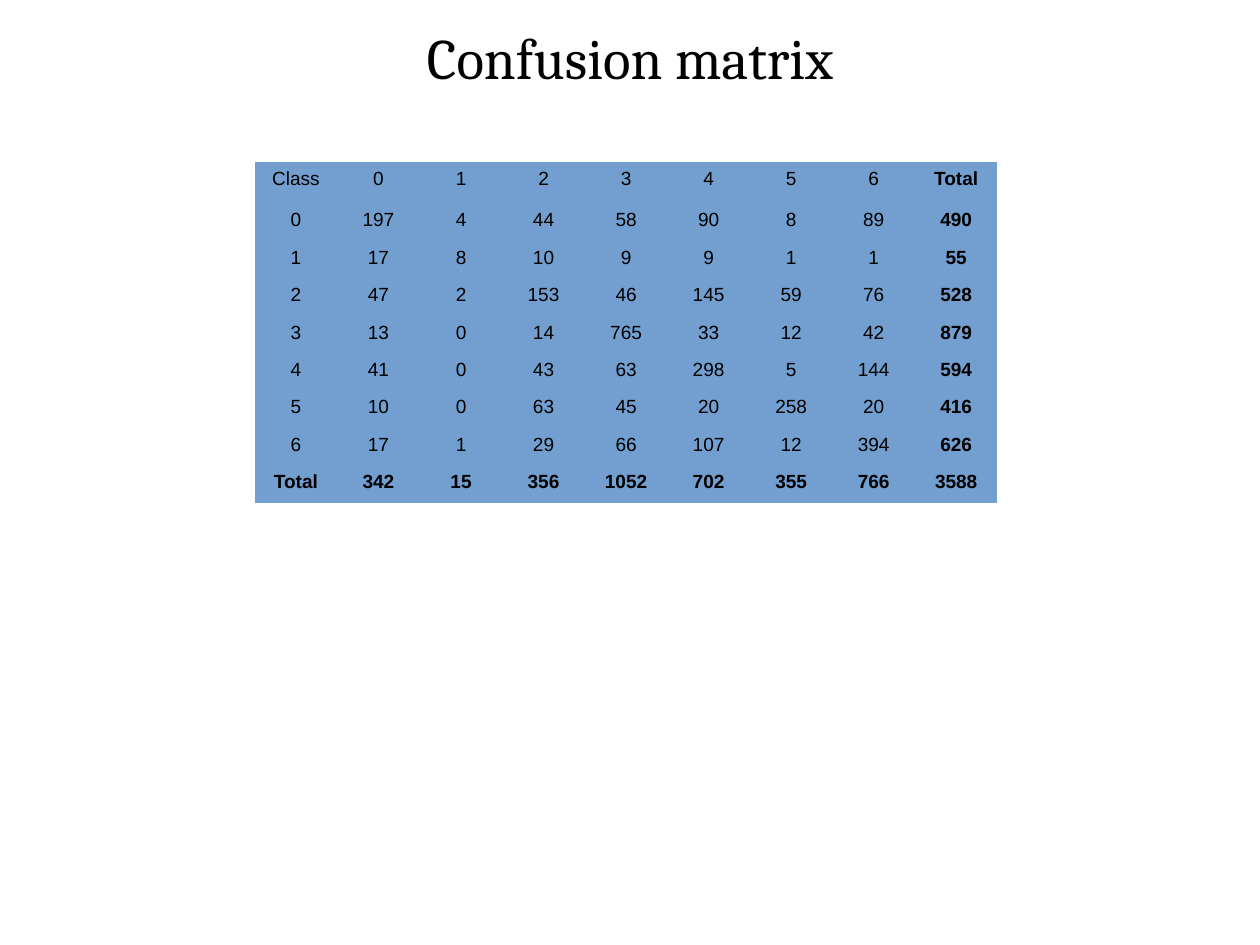
from pptx import Presentation
from pptx.dml.color import RGBColor
from pptx.enum import text as t
from pptx.oxml import ns
from pptx.util import Cm, Pt

COLORS = {"ink": "000000", "cell": "729FCF"}
TITLE_FONT = {"name": "Cambria", "size": Pt(36), "bold": False}
CELL_FONT = {"name": "Arial", "size": Pt(12)}
NO_GRID_STYLE = "{2D5ABB26-0587-4C30-8999-92F81FD0307C}"

# Rows are actual classes, columns are predicted classes
COUNTS = [
    [197, 4, 44, 58, 90, 8, 89],
    [17, 8, 10, 9, 9, 1, 1],
    [47, 2, 153, 46, 145, 59, 76],
    [13, 0, 14, 765, 33, 12, 42],
    [41, 0, 43, 63, 298, 5, 144],
    [10, 0, 63, 45, 20, 258, 20],
    [17, 1, 29, 66, 107, 12, 394],
]


def set_all(target, values):
    for name, value in values.items():
        setattr(target, name, value)


def write_centred(frame, words, font):
    paragraph = frame.paragraphs[0]
    paragraph.alignment = t.PP_ALIGN.CENTER
    run = paragraph.add_run()
    run.text = str(words)
    set_all(run.font, font)
    run.font.color.rgb = RGBColor.from_string(COLORS["ink"])


def with_totals(counts):
    """Add class labels and the sums of each row and column."""
    classes = list(range(len(counts)))
    column_sums = [sum(column) for column in zip(*counts)]
    body = [[label, *row, sum(row)] for label, row in zip(classes, counts)]
    return [["Class", *classes, "Total"], *body,
            ["Total", *column_sums, sum(column_sums)]]


def add_title(slide, box, words):
    frame = slide.shapes.add_textbox(*box).text_frame
    set_all(frame, {
        "word_wrap": True,
        "vertical_anchor": t.MSO_ANCHOR.MIDDLE,
        "margin_left": 0, "margin_right": 0,
        "margin_top": 0, "margin_bottom": 0,
    })
    write_centred(frame, words, TITLE_FONT)


def add_matrix(slide, box, counts, header_height):
    left, top, width, height = box
    rows = with_totals(counts)
    last = len(rows) - 1
    matrix = slide.shapes.add_table(
        len(rows), len(rows[0]), left, top, width, height).table

    # Plain look without banding or grid lines
    set_all(matrix, {"first_row": False, "horz_banding": False})
    style = matrix._tbl.tblPr.find(ns.qn("a:tableStyleId"))
    style.text = NO_GRID_STYLE

    # The header is a little taller than the equal rows below
    for row in matrix.rows:
        row.height = (height - header_height) // last
    matrix.rows[0].height = header_height

    # Counts, with totals in bold
    for r, row in enumerate(rows):
        for c, value in enumerate(row):
            cell = matrix.cell(r, c)
            cell.fill.solid()
            cell.fill.fore_color.rgb = RGBColor.from_string(COLORS["cell"])
            write_centred(cell.text_frame, value,
                          {**CELL_FONT, "bold": last in (r, c)})


def main():
    deck = Presentation()
    set_all(deck, {"slide_width": Cm(28), "slide_height": Cm(21)})
    slide = deck.slides.add_slide(deck.slide_layouts[6])
    add_title(slide, (Cm(1.4), Cm(0.23), Cm(25.2), Cm(2.06)),
              "Confusion matrix")
    add_matrix(slide, (Cm(5.66), Cm(3.61), Cm(16.51), Cm(7.57)),
               COUNTS, Cm(0.92))
    deck.save("out.pptx")


if __name__ == "__main__":
    main()
